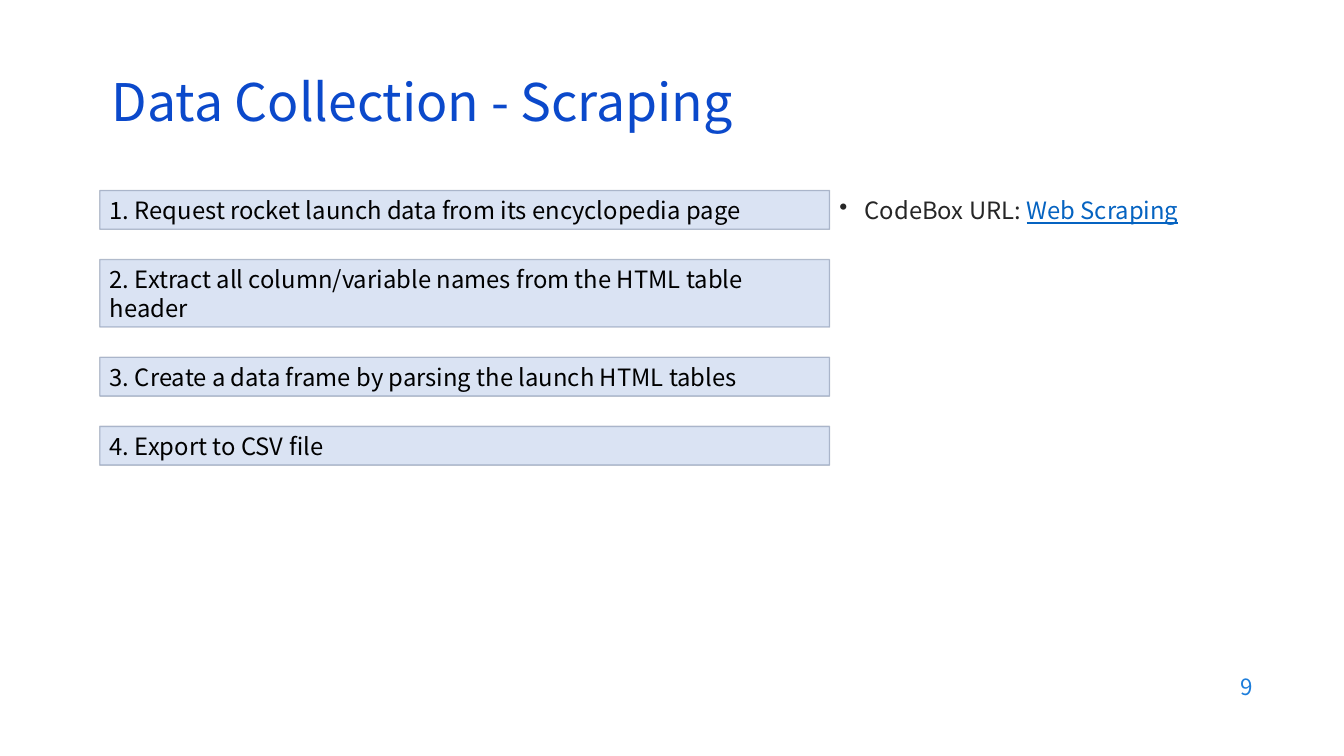
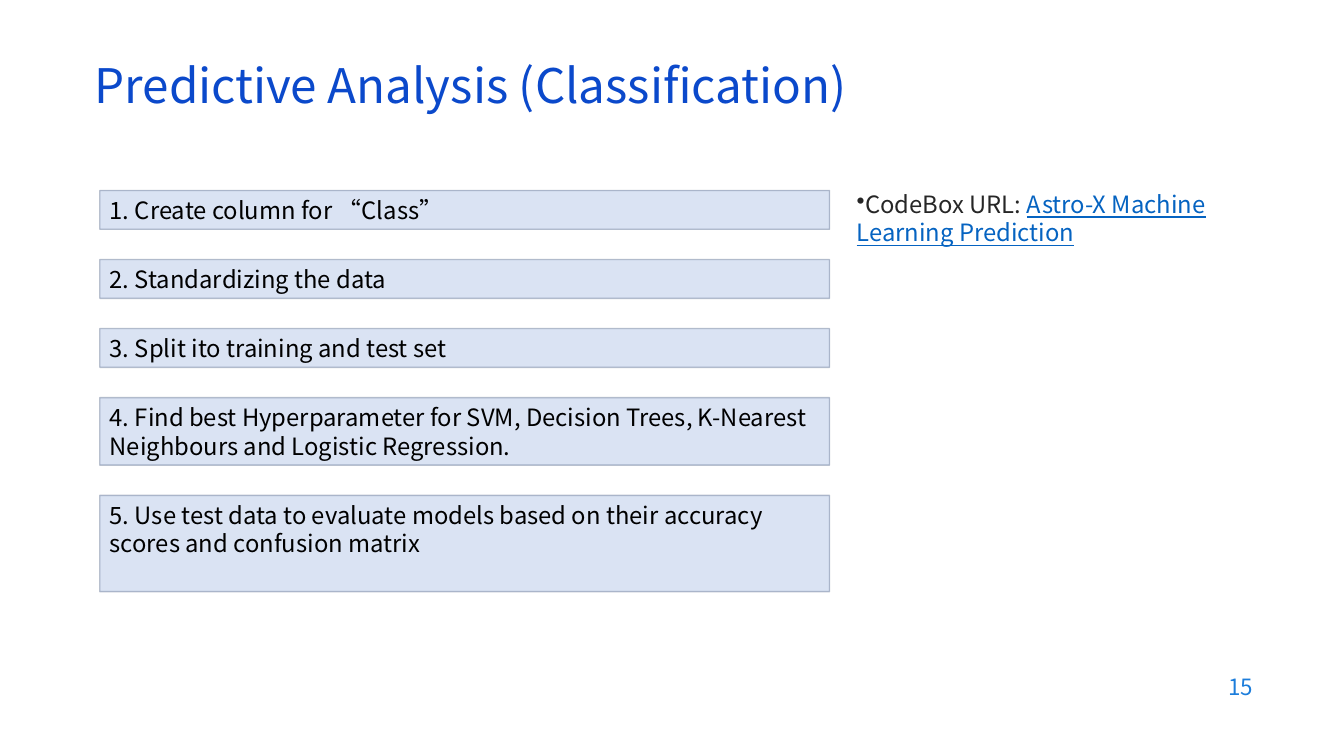
from dataclasses import dataclass

from lxml.etree import SubElement as Sub
from pptx import Presentation
from pptx.dml.color import RGBColor as Rgb
from pptx.enum.shapes import MSO_SHAPE as Kind
from pptx.enum.text import MSO_ANCHOR as Anchor, MSO_AUTO_SIZE as Fit, PP_ALIGN as Align
from pptx.oxml.ns import qn
from pptx.util import Inches, Pt


@dataclass(frozen=True)
class Theme:
    font: str = "Noto Sans CJK TC"
    title: str = "0B49CB"
    page: str = "1C7DDB"
    text: str = "262626"
    link: str = "0563C1"
    step: str = "000000"
    fill: str = "DAE3F3"
    edge: str = "203864"
    body_size: float = 17
    page_size: float = 16
    pitch: float = 20.5


THEME = Theme()

# Grid: square cells, a tenth of an inch wide
CELL = Inches(0.1)
COLS, ROWS = 133.33, 75
LEFT, TOP, WIDE = 9.9, 18.9, 72.4   # column of steps
LINE, PAD, GAP = 2.85, 1, 3         # text line, box padding, space between steps
RIGHT = 125.3                       # right edge of notes and page number


def grid(*cells):
    return [round(n * CELL) for n in cells]


def style(para, size, color):
    font = para.font
    font.name, font.size = THEME.font, Pt(size)
    font.color.rgb = Rgb.from_string(color)


def add_title(slide, text, left, top, size):
    box = slide.shapes.title
    box.left, box.top, box.width, box.height = grid(left, top, 115, 6)
    frame = box.text_frame
    frame.text = text
    frame.auto_size, frame.vertical_anchor = Fit.NONE, Anchor.MIDDLE
    para = frame.paragraphs[0]
    para.alignment, para.line_spacing = Align.LEFT, 0.8
    style(para, size, THEME.title)


def add_page(slide, number):
    box = slide.shapes.add_textbox(*grid(RIGHT - 30, 65.9, 30, 4.4))
    frame = box.text_frame
    frame.text, frame.word_wrap = str(number), True
    frame.vertical_anchor = Anchor.MIDDLE
    para = frame.paragraphs[0]
    para.alignment = Align.RIGHT
    style(para, THEME.page_size, THEME.page)


def add_step(slide, text, top, high):
    box = slide.shapes.add_shape(Kind.RECTANGLE, *grid(LEFT, top, WIDE, high))
    box.shadow.inherit = False
    box.fill.solid()
    box.fill.fore_color.rgb = Rgb.from_string(THEME.fill)
    box.line.width = Pt(1)
    box.line.color.rgb = Rgb.from_string(THEME.edge)
    # Soften the edge
    tint = box.element.spPr.find(qn("a:ln")).find(".//" + qn("a:srgbClr"))
    Sub(tint, qn("a:alpha")).set("val", "30000")
    frame = box.text_frame
    frame.text, frame.word_wrap = text, True
    frame.vertical_anchor = Anchor.TOP
    para = frame.paragraphs[0]
    para.alignment, para.line_spacing = Align.LEFT, Pt(THEME.pitch)
    style(para, THEME.body_size, THEME.step)


def add_steps(slide, steps):
    top = TOP
    for index, (text, lines) in enumerate(steps, 1):
        high = PAD + lines * LINE
        add_step(slide, f"{index}. {text}", top, high)
        top += high + GAP


def add_note(slide, link, left, top, hang):
    box = slide.shapes.add_textbox(*grid(left, top, RIGHT - left, 42))
    frame = box.text_frame
    frame.word_wrap = True
    para = frame.paragraphs[0]
    props = para._p.get_or_add_pPr()
    inset = grid(hang)[0]
    props.set("marL", str(inset))
    props.set("indent", str(-inset))
    Sub(props, qn("a:buChar")).set("char", "•")
    para.line_spacing = Pt(THEME.pitch)
    style(para, THEME.body_size, THEME.text)
    para.add_run().text = "CodeBox URL: "
    run = para.add_run()
    run.text = link
    run.font.underline = True
    run.font.color.rgb = Rgb.from_string(THEME.link)


def add_slide(deck, page, title, note, steps):
    slide = deck.slides.add_slide(deck.slide_layouts.get_by_name("Title Only"))
    add_page(slide, page)
    add_note(slide, *note)
    add_title(slide, *title)
    add_steps(slide, steps)


def main():
    deck = Presentation()
    deck.slide_width, deck.slide_height = grid(COLS, ROWS)

    # Scraping: each step with its height in lines
    add_slide(
        deck, 9,
        ("Data Collection - Scraping", 10.1, 7.6, 37),
        ("Web Scraping", 82.3, TOP, 2.5),
        [
            ("Request rocket launch data from its encyclopedia page", 1),
            ("Extract all column/variable names from the HTML table header", 2),
            ("Create a data frame by parsing the launch HTML tables", 1),
            ("Export to CSV file", 1),
        ],
    )

    # Classification
    add_slide(
        deck, 15,
        ("Predictive Analysis (Classification)", 8.4, 5.9, 34),
        ("Astro-X Machine Learning Prediction", 84, 18.3, 0),
        [
            ("Create column for “Class”", 1),
            ("Standardizing the data", 1),
            ("Split ito training and test set", 1),
            ("Find best Hyperparameter for SVM, Decision Trees, K-Nearest "
             "Neighbours and Logistic Regression.", 2),
            ("Use test data to evaluate models based on their accuracy "
             "scores and confusion matrix", 3),
        ],
    )
    deck.save("out.pptx")


if __name__ == "__main__":
    main()
